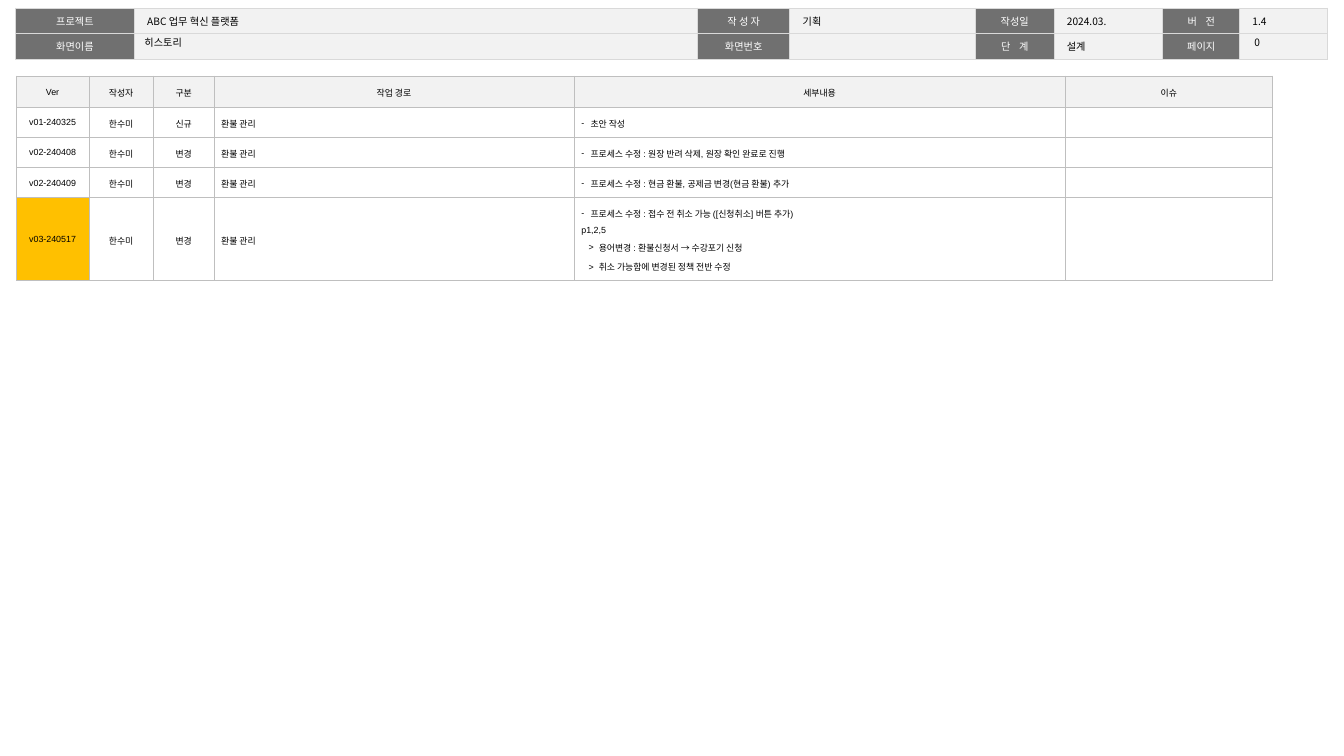
import pptx
import pptx.dml.color
import pptx.enum.text
import pptx.oxml
import pptx.oxml.ns
import pptx.util
from pptx.util import Inches, Pt

ALIGN = pptx.enum.text.PP_ALIGN
ANCHOR = pptx.enum.text.MSO_ANCHOR
KOREAN_FONT = "Noto Sans CJK KR"
WHITE, BLACK, PALE, DARK, AMBER = "FFFFFF", "000000", "F2F2F2", "707070", "FFC000"

INFO_ROWS = [
    ["프로젝트", "ABC 업무 혁신 플랫폼", "작 성 자", "기획", "작성일", "2024.03.", "버 전", "1.4"],
    ["화면이름", "", "화면번호", "", "단 계", "설계", "페이지", ""],
]
SPREAD_LABELS = {"버 전", "단 계"}
INFO = {"left": 0.17, "top": 0.09, "rows": [0.28, 0.28],
        "columns": [1.3, 6.16, 1.01, 2.03, 0.86, 1.19, 0.84, 0.96],
        "border": ("D9D9D9", 1), "margins": (0.14, 0.05, 0.14, 0.05), "anchor": ANCHOR.TOP}

HISTORY_ROWS = [
    ["Ver", "작성자", "구분", "작업 경로", "세부내용", "이슈"],
    ["v01-240325", "한수미", "신규", "환불 관리", ["- 초안 작성"], ""],
    ["v02-240408", "한수미", "변경", "환불 관리",
     ["- 프로세스 수정 : 원장 반려 삭제, 원장 확인 완료로 진행"], ""],
    ["v02-240409", "한수미", "변경", "환불 관리",
     ["- 프로세스 수정 : 현금 환불, 공제금 변경(현금 환불) 추가"], ""],
    ["v03-240517", "한수미", "변경", "환불 관리",
     ["- 프로세스 수정 : 접수 전 취소 가능 ([신청취소] 버튼 추가)", "p1,2,5",
      "> 용어변경 : 환불신청서 → 수강포기 신청",
      "> 취소 가능함에 변경된 정책 전반 수정"], ""],
]
HISTORY = {"left": 0.18, "top": 0.83, "rows": [0.34, 0.33, 0.33, 0.33, 0.91],
           "columns": [0.79, 0.71, 0.66, 3.94, 5.37, 2.27],
           "border": ("BFBFBF", 0.25), "margins": (0.08, 0.04, 0.08, 0.08),
           "anchor": ANCHOR.MIDDLE}

# marker: (text position, marker offset) in inches
BULLETS = {"-": (0.1, -0.1), ">": (0.19, -0.11)}

LABELS = [
    ("0", (13.62, 0.38, 0.72, 0.16), 0.1),
    ("히스토리", (1.47, 0.38, 5.42, 0.16), 0.11),
]


def color(value):
    return pptx.dml.color.RGBColor.from_string(value)


def add_xml(parent, tag, **attributes):
    element = pptx.oxml.parse_xml(f"<{tag} {pptx.oxml.ns.nsdecls('a')}/>")
    for name, value in attributes.items():
        element.set(name, str(value))
    parent.append(element)
    return element


def set_values(target, values):
    for name, value in values.items():
        setattr(target, name, value)


def add_bullet(paragraph, marker):
    position, offset = BULLETS[marker]
    properties = paragraph._p.get_or_add_pPr()
    properties.set("marL", str(Inches(position)))
    properties.set("indent", str(Inches(offset)))
    add_xml(properties, "a:buFont", typeface="Arial")
    add_xml(properties, "a:buChar", char=marker)


def write_line(paragraph, text, size, font="Arial", ink=BLACK, align=ALIGN.LEFT, spacing=1.0):
    set_values(paragraph, {"alignment": align, "line_spacing": spacing})
    if not text:
        paragraph._p.get_or_add_endParaRPr().set("sz", str(size * 100))
        return
    marker, _, rest = text.partition(" ")
    if marker in BULLETS:
        add_bullet(paragraph, marker)
        text = rest
    run = paragraph.add_run()
    run.text = text
    set_values(run.font, {"size": Pt(size), "name": font, "bold": False})
    run.font.color.rgb = color(ink)
    add_xml(run._r.get_or_add_rPr(), "a:ea", typeface=KOREAN_FONT)
    if text in SPREAD_LABELS:
        run._r.get_or_add_rPr().set("spc", "250")


def format_cell(cell, layout, fill):
    names = ("margin_left", "margin_top", "margin_right", "margin_bottom")
    set_values(cell, dict(zip(names, map(Inches, layout["margins"]))))
    cell.vertical_anchor = layout["anchor"]
    border_color, border_width = layout["border"]
    for side in ("lnL", "lnR", "lnT", "lnB"):
        line = add_xml(cell._tc.get_or_add_tcPr(), f"a:{side}", w=Pt(border_width))
        add_xml(add_xml(line, "a:solidFill"), "a:srgbClr", val=border_color)
    cell.fill.solid()
    cell.fill.fore_color.rgb = color(fill)


def add_grid(slide, rows, layout, cell_style):
    """Add a table; cell_style(row, column) gives the fill and the text format."""
    widths, heights = layout["columns"], layout["rows"]
    table = slide.shapes.add_table(
        len(heights), len(widths), Inches(layout["left"]), Inches(layout["top"]),
        Inches(sum(widths)), Inches(sum(heights))).table
    set_values(table, {"first_row": False, "horz_banding": False})
    for column, width in zip(table.columns, widths):
        column.width = Inches(width)
    for row, height in zip(table.rows, heights):
        row.height = Inches(height)
    for row_index, row in enumerate(rows):
        for column_index, content in enumerate(row):
            cell = table.cell(row_index, column_index)
            fill, text_format = cell_style(row_index, column_index)
            format_cell(cell, layout, fill)
            lines = content if isinstance(content, list) else [content]
            for index, text in enumerate(lines):
                frame = cell.text_frame
                paragraph = frame.add_paragraph() if index else frame.paragraphs[0]
                write_line(paragraph, text, **text_format)


def info_style(row, column):
    is_label = column % 2 == 0
    return DARK if is_label else PALE, {
        "size": 8, "font": KOREAN_FONT, "spacing": 1.05,
        "ink": WHITE if is_label else BLACK,
        "align": ALIGN.CENTER if is_label else ALIGN.LEFT}


def history_style(row, column):
    is_latest = row == len(HISTORY_ROWS) - 1 and column == 0
    fill = PALE if row == 0 else AMBER if is_latest else WHITE
    centered = row == 0 or column < 3
    return fill, {"size": 7, "spacing": 1.5,
                  "align": ALIGN.CENTER if centered else ALIGN.LEFT}


def add_label(slide, text, box, side_margin):
    frame = slide.shapes.add_textbox(*map(Inches, box)).text_frame
    set_values(frame, {"word_wrap": True, "vertical_anchor": ANCHOR.MIDDLE,
                       "margin_left": Inches(side_margin), "margin_right": Inches(side_margin)})
    write_line(frame.paragraphs[0], text, 8, KOREAN_FONT)


def main():
    presentation = pptx.Presentation()
    set_values(presentation, {"slide_width": Inches(14.7), "slide_height": Inches(8.27)})
    slide = presentation.slides.add_slide(presentation.slide_layouts[6])
    add_grid(slide, INFO_ROWS, INFO, info_style)
    for label in LABELS:
        add_label(slide, *label)
    add_grid(slide, HISTORY_ROWS, HISTORY, history_style)
    presentation.save("out.pptx")


if __name__ == "__main__":
    main()
